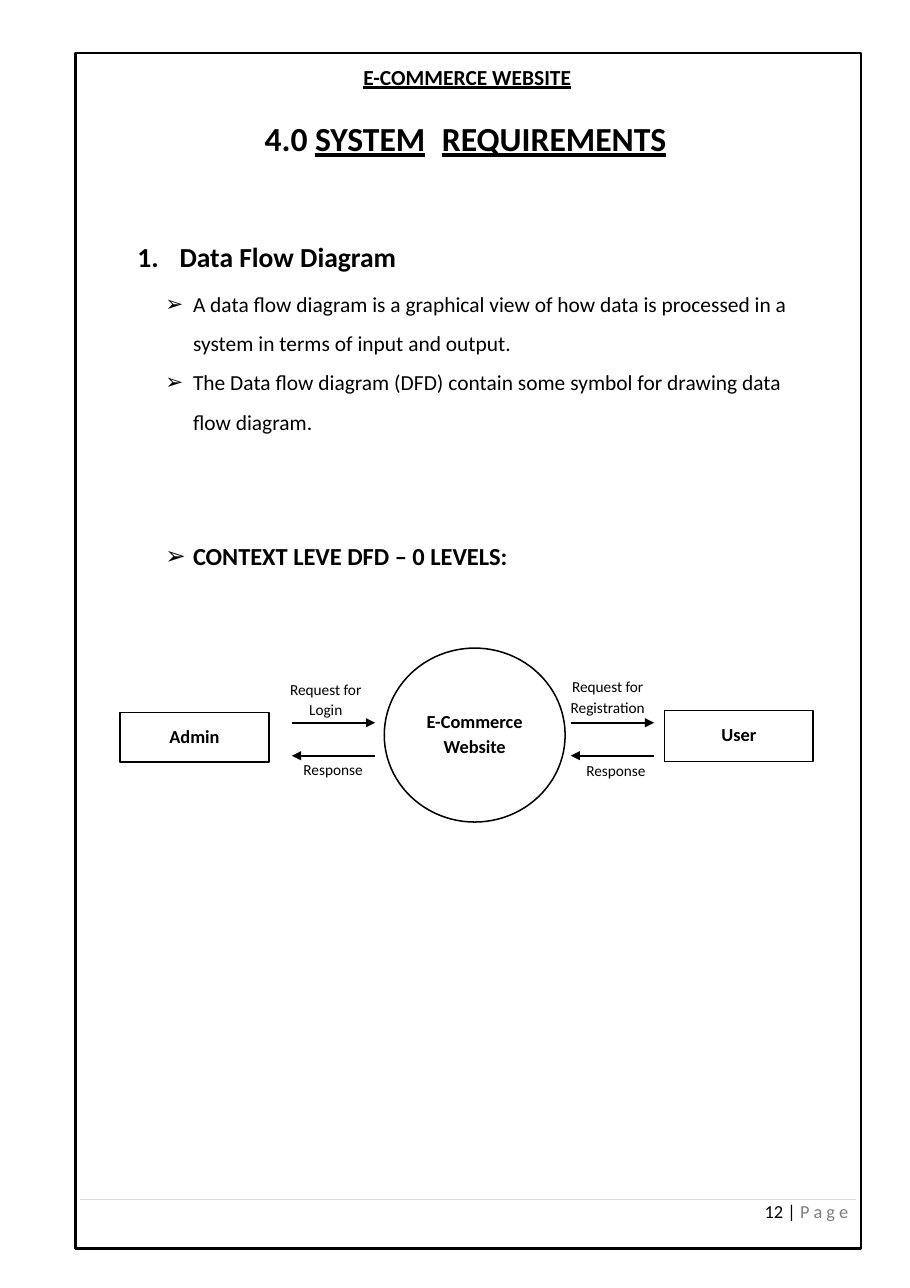
"""Builds the system requirements page with its level 0 data flow diagram."""
from dataclasses import dataclass

from lxml.etree import SubElement
from pptx import Presentation
from pptx.dml.color import RGBColor
from pptx.enum.shapes import MSO_CONNECTOR as LINE, MSO_SHAPE as SHAPE
from pptx.enum.text import MSO_ANCHOR as ANCHOR, MSO_AUTO_SIZE as FIT, PP_ALIGN as ALIGN
from pptx.oxml.ns import qn
from pptx.util import Cm, Pt


@dataclass(frozen=True)
class Theme:
    font: str = "Calibri"
    ink: RGBColor = RGBColor(0, 0, 0)
    grey: RGBColor = RGBColor(0x7E, 0x7E, 0x7E)
    rule: RGBColor = RGBColor(0xD9, 0xD9, 0xD9)
    title: Pt = Pt(22)
    section: Pt = Pt(18)
    context: Pt = Pt(16)
    body: Pt = Pt(14)
    node: Pt = Pt(12)
    label: Pt = Pt(10)


theme = Theme()
BOLD = {"bold": True}
UNDERLINED = {"bold": True, "underline": True}


def prepare(shape, **changes):
    """Sets up the text frame and returns its first paragraph."""
    values = {"margin_left": 0, "margin_top": 0, "margin_right": 0, "margin_bottom": 0,
              "word_wrap": True, "auto_size": FIT.NONE, "vertical_anchor": ANCHOR.TOP}
    for name, value in {**values, **changes}.items():
        setattr(shape.text_frame, name, value)
    return shape.text_frame.paragraphs[0]


def write(paragraph, size, runs, ink=theme.ink, **layout):
    """Adds runs of (text, font values) and sets the paragraph layout."""
    values = {"alignment": ALIGN.LEFT, "space_before": Pt(0), "line_spacing": 1.0}
    for name, value in {**values, **layout}.items():
        setattr(paragraph, name, value)
    for text, look in runs:
        run = paragraph.add_run()
        run.text = text
        run.font.color.rgb = ink
        for name, value in {"name": theme.font, "size": size, "bold": False, **look}.items():
            setattr(run.font, name, value)


deck = Presentation()
deck.slide_width, deck.slide_height = Cm(20.98), Cm(29.69)
page = deck.slides.add_slide(deck.slide_layouts[3])
heading, overview, context = page.placeholders

for holder, box in (
    (heading, (6.1, 2.72, 9.6, 1)),
    (overview, (3.15, 5.54, 15.3, 4.55)),
    (context, (3.15, 12.48, 9, 0.8)),
):
    for name, value in zip(("left", "top", "width", "height"), box):
        setattr(holder, name, Cm(value))

title = prepare(heading)
write(title, theme.title, [("4.0 ", BOLD), ("SYSTEM", UNDERLINED), ("\t", BOLD),
                           ("REQUIREMENTS", UNDERLINED)])
tabs = SubElement(title._p.get_or_add_pPr(), qn("a:tabLst"))
SubElement(tabs, qn("a:tab"), pos=str(Cm(4.09)), algn="l")

NUMBER = ("a:buAutoNum", {"type": "arabicPeriod"}, 0.99, -0.97)
ARROW = ("a:buChar", {"char": "➢"}, 1.3, -0.64)
for holder, entries in (
    (overview, (
        ("Data Flow Diagram", theme.section, BOLD, NUMBER, 1.0, 1),
        ("A data flow diagram is a graphical view of how data is processed in a system "
         "in terms of input and output.", theme.body, {}, ARROW, 1.52, 2.9),
        ("The Data flow diagram (DFD) contain some symbol for drawing data flow diagram.",
         theme.body, {}, ARROW, 1.52, 0.1),
    )),
    (context, (("CONTEXT LEVE DFD – 0 LEVELS:", theme.context, BOLD, ARROW, 1.0, 0),)),
):
    entry = prepare(holder)
    for order, (text, size, look, bullet, spacing, before) in enumerate(entries):
        if order:
            entry = holder.text_frame.add_paragraph()
        write(entry, size, [(text, look)], line_spacing=spacing, space_before=Pt(before))
        tag, kind, margin, indent = bullet
        layout = entry._p.get_or_add_pPr()
        layout.set("marL", str(Cm(margin)))
        layout.set("indent", str(Cm(indent)))
        SubElement(layout, qn(tag), **kind)

for kind, box, weight, text in (
    (SHAPE.RECTANGLE, (1.74, 1.22, 18.12, 27.56), 1.5, ""),
    (SHAPE.OVAL, (8.86, 14.94, 4.17, 4.01), 1, "E-Commerce Website"),
    (SHAPE.RECTANGLE, (2.77, 16.43, 3.43, 1.14), 1, "Admin"),
    (SHAPE.RECTANGLE, (15.32, 16.38, 3.43, 1.17), 1, "User"),
):
    node = page.shapes.add_shape(kind, *map(Cm, box))
    node.shadow.inherit = False
    node.fill.background()
    node.line.color.rgb = theme.ink
    node.line.width = Pt(weight)
    if text:
        caption = prepare(node, vertical_anchor=ANCHOR.MIDDLE, margin_bottom=Cm(0.15))
        write(caption, theme.node, [(text, BOLD)], alignment=ALIGN.CENTER, line_spacing=1.15)

flows = [(1.85, 19.74, 27.65, theme.rule, 0.75, False)]
for left in (6.73, 13.16):
    right = left + 1.92
    flows += [(left, right, 16.66, theme.ink, 1.5, True),
              (right, left, 17.42, theme.ink, 1.5, True)]
for start, end, level, ink, weight, pointed in flows:
    flow = page.shapes.add_connector(LINE.STRAIGHT, Cm(start), Cm(level), Cm(end), Cm(level))
    flow.line.color.rgb = ink
    flow.line.width = Pt(weight)
    if pointed:
        SubElement(flow.line._get_or_add_ln(), qn("a:tailEnd"), type="triangle")
    SubElement(flow._element.spPr, qn("a:effectLst"))

for text, center, top, spacing in (
    ("Request for Login", 7.51, 15.63, 1.1),
    ("Response", 7.68, 17.53, 1.0),
    ("Request for Registration", 14.01, 15.58, 1.1),
    ("Response", 14.2, 17.55, 1.0),
):
    label = page.shapes.add_textbox(Cm(center - 1), Cm(top), Cm(2), Cm(0.45 * len(text.split()[:2])))
    write(prepare(label), theme.label, [(text, {})], alignment=ALIGN.CENTER, line_spacing=spacing)

header = page.shapes.add_textbox(Cm(8.25), Cm(1.47), Cm(5.05), Cm(0.6))
write(prepare(header), theme.body, [("E-COMMERCE WEBSITE", UNDERLINED)], alignment=ALIGN.CENTER)

footer = prepare(page.shapes.add_textbox(Cm(17.63), Cm(27.67), Cm(2.1), Cm(0.52)), word_wrap=False)
write(footer, theme.node, [("12 | ", {})])
write(footer, theme.node, [("P a g e", {})], ink=theme.grey)

deck.save("out.pptx")
